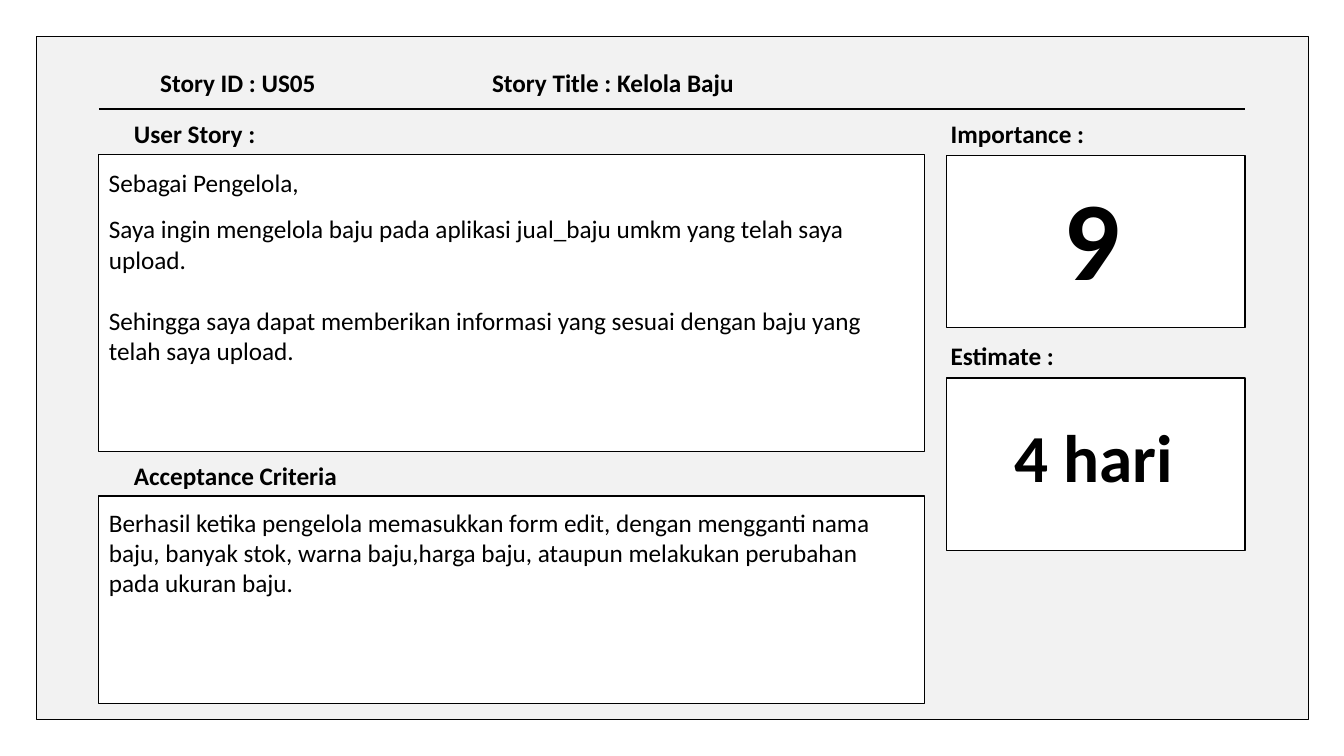
"""Build a user story card with its importance, estimate and acceptance criteria."""
from dataclasses import dataclass

from pptx import Presentation
from pptx.dml.color import RGBColor
from pptx.enum.shapes import MSO_CONNECTOR as Connector, MSO_SHAPE as Shape
from pptx.enum.text import MSO_ANCHOR as Anchor, MSO_AUTO_SIZE as AutoSize, PP_ALIGN as Align
from pptx.oxml.ns import qn
from pptx.util import Inches, Pt
from lxml.etree import SubElement


@dataclass(frozen=True)
class Theme:
    font: str = "Calibri"
    ink: RGBColor = RGBColor(0, 0, 0)
    paper: RGBColor = RGBColor(255, 255, 255)
    card: RGBColor = RGBColor(0xF2, 0xF2, 0xF2)
    body: int = 18
    estimate: int = 48
    importance: int = 80
    line: int = 1


theme = Theme()
presentation = Presentation()
presentation.slide_width = Inches(13.33)
presentation.slide_height = Inches(7.5)
slide = presentation.slides.add_slide(presentation.slide_layouts[3])
title, story, criteria = slide.placeholders


def add_text(text, *, at, size=theme.body, bold=False, gap=0, placeholder=None):
    box = [Inches(value) for value in at]
    shape = placeholder or slide.shapes.add_textbox(*box)
    shape.left, shape.top, shape.width, shape.height = box
    shape.element.getparent().append(shape.element)
    frame = shape.text_frame
    frame.text = text
    frame.word_wrap = True
    frame.auto_size = AutoSize.SHAPE_TO_FIT_TEXT
    frame.vertical_anchor = Anchor.TOP
    for index, paragraph in enumerate(frame.paragraphs):
        paragraph.alignment = Align.LEFT
        paragraph.line_spacing = 1.0
        paragraph.space_before = Pt(gap if index else 0)
        properties = paragraph._p.get_or_add_pPr()
        properties.set("marL", "0")
        properties.set("indent", "0")
        SubElement(properties, qn("a:buNone"))
        font = paragraph.runs[0].font
        font.name, font.size, font.bold = theme.font, Pt(size), bold
        font.color.rgb = theme.ink


left, right = 0.98, 12.35
side_left, side_width, side_height = 9.39, 2.96, 1.71
main_width, text_width, label_height = 8.19, 8.02, 0.4

panels = [
    (0.36, 0.36, 12.62, 6.78, theme.card),
    (left, 1.53, main_width, 2.95, theme.paper),
    (left, 4.92, main_width, 2.06, theme.paper),
    (side_left, 1.54, side_width, side_height, theme.paper),
    (side_left, 3.75, side_width, side_height, theme.paper),
]
for *box, fill in panels:
    panel = slide.shapes.add_shape(Shape.RECTANGLE, *map(Inches, box))
    panel.shadow.inherit = False
    panel.fill.solid()
    panel.fill.fore_color.rgb = fill
    panel.line.color.rgb = theme.ink
    panel.line.width = Pt(theme.line)

rule = slide.shapes.add_connector(
    Connector.STRAIGHT, Inches(left), Inches(1.08), Inches(right), Inches(1.08)
)
rule.line.color.rgb = theme.ink
rule.line.width = Pt(theme.line)
SubElement(rule.element.spPr, qn("a:effectLst"))

add_text("Story Title : Kelola Baju", at=(4.78, 0.62, 3.17, label_height),
         bold=True, placeholder=title)

labels = [
    ("Story ID : US05", 1.49, 0.62, 2.66),
    ("User Story :", 1.23, 1.12, 2.66),
    ("Acceptance Criteria", 1.23, 4.52, 2.66),
    ("Importance :", 9.33, 1.12, 1.61),
    ("Estimate :", 9.33, 3.33, 1.61),
]
for label, x, y, width in labels:
    add_text(label, at=(x, y, width, label_height), bold=True)

add_text("Sebagai Pengelola,", at=(left, 1.61, text_width, label_height))
add_text(
    "Saya ingin mengelola baju pada aplikasi jual_baju umkm yang telah saya upload.\n"
    "Sehingga saya dapat memberikan informasi yang sesuai dengan baju yang telah saya upload.",
    at=(left, 2.07, text_width, 1.62), gap=22, placeholder=story,
)
add_text(
    "Berhasil ketika pengelola memasukkan form edit, dengan mengganti nama baju, "
    "banyak stok, warna baju,harga baju, ataupun melakukan perubahan pada ukuran baju.",
    at=(left, 4.98, text_width, 1.01), placeholder=criteria,
)
add_text("9", at=(10.45, 1.62, 0.98, 1.45), size=theme.importance, bold=True)
add_text("4 hari", at=(9.96, 4.07, 1.84, 0.91), size=theme.estimate, bold=True)

presentation.save("out.pptx")
